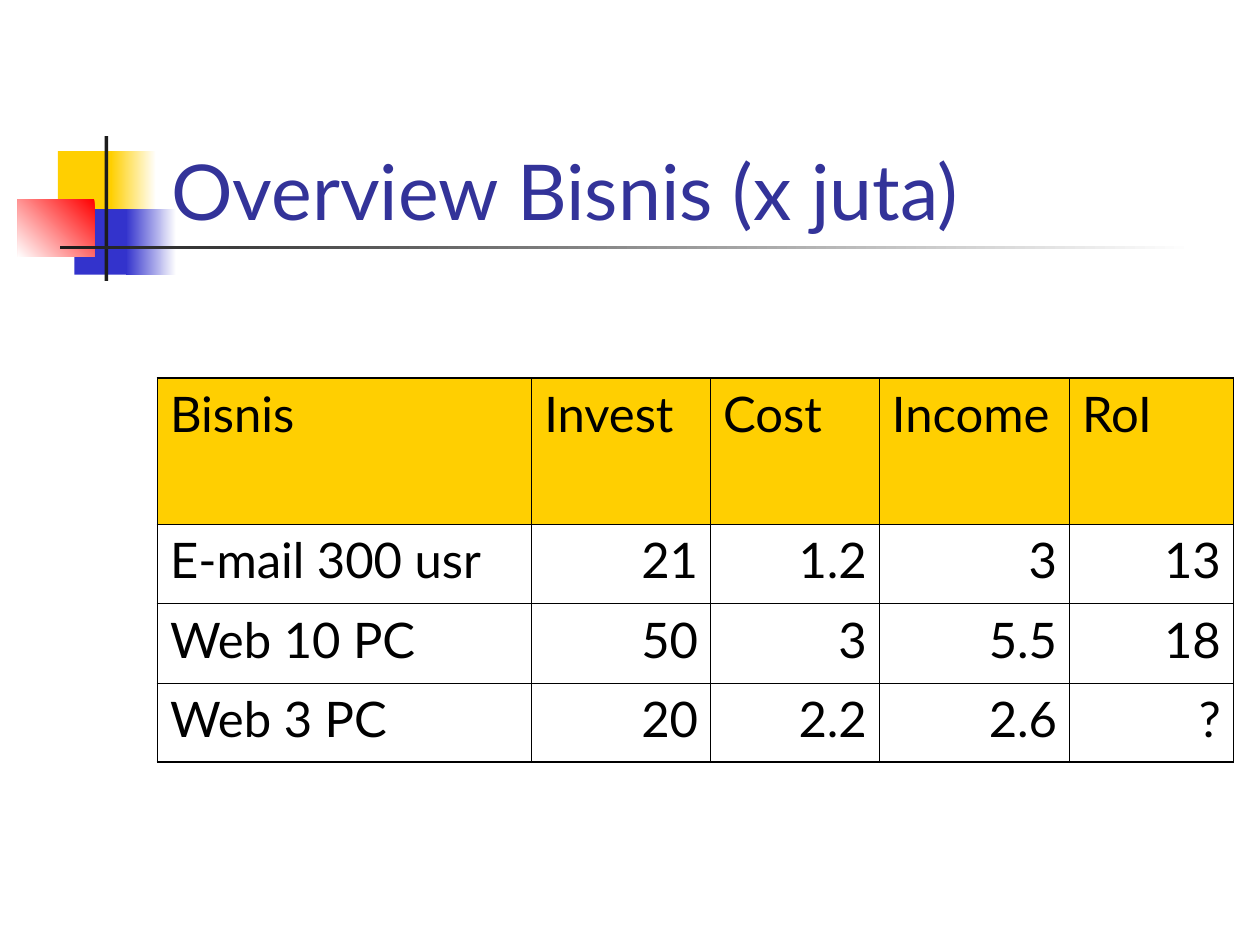
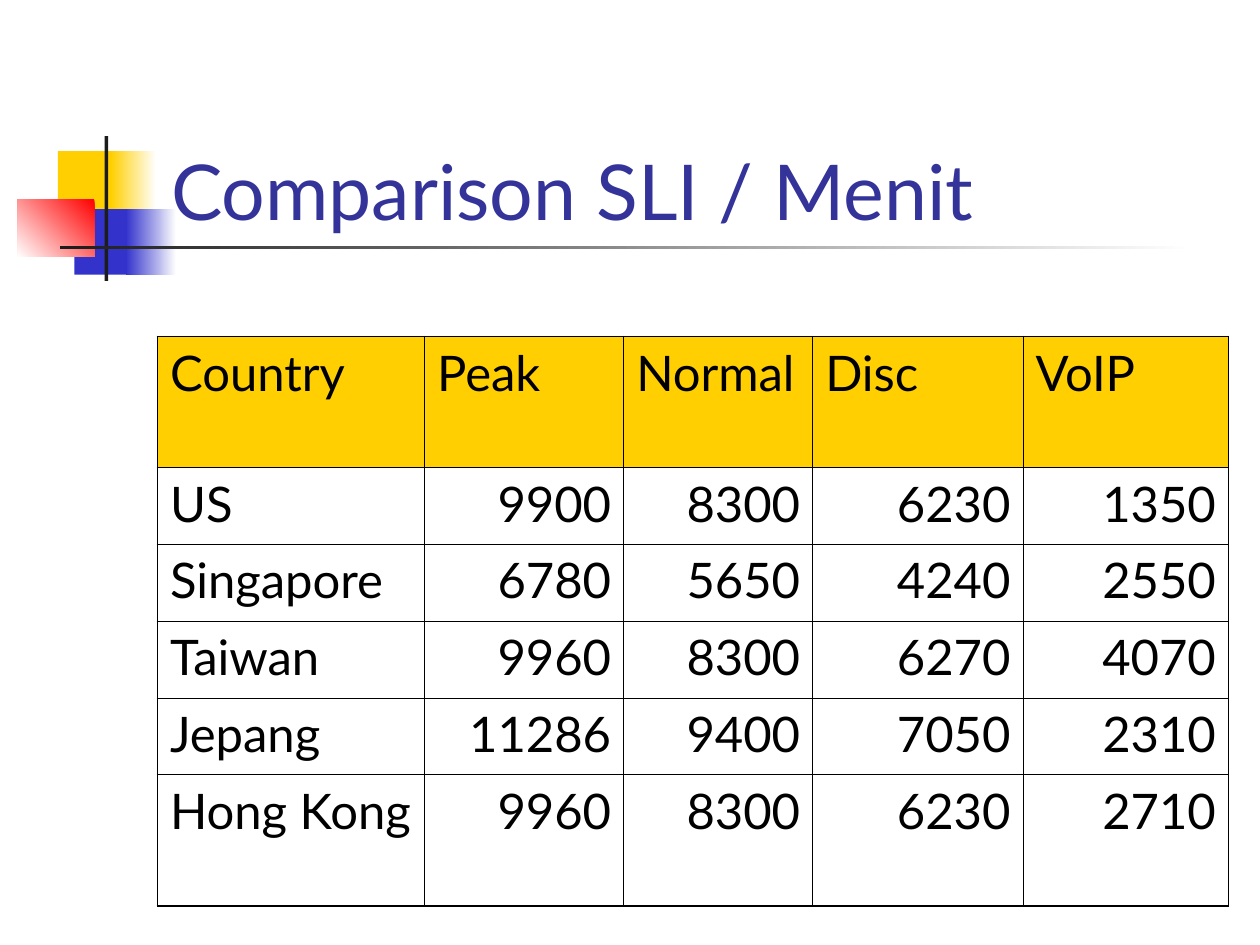
from pptx import Presentation
from pptx.dml.color import RGBColor
from pptx.enum.shapes import MSO_SHAPE
from pptx.enum.text import MSO_ANCHOR, PP_ALIGN
from pptx.oxml.ns import qn
from pptx.util import Inches, Pt
from lxml import etree

RECT = MSO_SHAPE.RECTANGLE
BOTTOM = MSO_ANCHOR.BOTTOM
LEFT, RIGHT = PP_ALIGN.LEFT, PP_ALIGN.RIGHT

WHITE, BLACK, INK = "FFFFFF", "000000", "1C1C1C"
YELLOW, BLUE, RED = "FFCF01", "3333CC", "FF0000"

SLIDE_SIZE = 10, 7.5
TABLE_LEFT = 1.25
TITLE_BOX = 1.26, 0.67, 8.52, 1.25
TITLE_FONT = {"name": "Lato", "size": Pt(44), "color": "333399"}
CELL_FONT = {"name": "Lato", "size": Pt(28), "bold": False, "color": BLACK}
INNER_LINE, OUTER_LINE = 0.45, 1.08

# left, top, width, height, colours (one is solid, two fade), gradient angle
ORNAMENT = [
    (0.46, 1.20, 0.48, 0.52, [YELLOW], None),
    (0.88, 1.20, 0.36, 0.52, [WHITE, YELLOW], 180),
    (0.59, 1.66, 0.46, 0.52, [BLUE], None),
    (1.00, 1.66, 0.40, 0.52, [WHITE, BLUE], 180),
    (0.14, 1.58, 0.61, 0.46, [RED, WHITE], 225),
    (0.83, 1.08, 0.03, 1.15, [INK], None),
    (0.48, 1.95, 9.00, 0.03, [WHITE, INK], 180),
]

SLIDES = [
    {
        "title": "Overview Bisnis (x juta)",
        "top": 3,
        "cols": [2.97, 1.42, 1.34, 1.51, 1.3],
        "rows": [1.16] + [0.63] * 3,
        "cells": [
            ["Bisnis", "Invest", "Cost", "Income", "RoI"],
            ["E-mail 300 usr", "21", "1.2", "3", "13"],
            ["Web 10 PC", "50", "3", "5.5", "18"],
            ["Web 3 PC", "20", "2.2", "2.6", "?"],
        ],
    },
    {
        "title": "Comparison SLI / Menit",
        "top": 2.67,
        "cols": [2.12, 1.58, 1.5, 1.67, 1.63],
        "rows": [1.04] + [0.61] * 4 + [1.04],
        "cells": [
            ["Country", "Peak", "Normal", "Disc", "VoIP"],
            ["US", "9900", "8300", "6230", "1350"],
            ["Singapore", "6780", "5650", "4240", "2550"],
            ["Taiwan", "9960", "8300", "6270", "4070"],
            ["Jepang", "11286", "9400", "7050", "2310"],
            ["Hong Kong", "9960", "8300", "6230", "2710"],
        ],
    },
]


def rgb(value):
    return RGBColor.from_string(value)


def inches(*lengths):
    return [Inches(n) for n in lengths]


def write(p, text, font):
    r = p.add_run()
    r.text = text
    for name, value in font.items():
        if name == "color":
            r.font.color.rgb = rgb(value)
        else:
            setattr(r.font, name, value)


def add_ornament(s):
    for *box, colors, angle in ORNAMENT:
        sp = s.shapes.add_shape(RECT, *inches(*box))
        sp.shadow.inherit = False
        sp.line.fill.background()
        if angle is None:
            sp.fill.solid()
            sp.fill.fore_color.rgb = rgb(colors[0])
            continue
        sp.fill.gradient()
        sp.fill.gradient_angle = angle
        for stop, color in zip(sp.fill.gradient_stops, colors):
            stop.color.rgb = rgb(color)


def add_title(s, text):
    tf = s.shapes.add_textbox(*inches(*TITLE_BOX)).text_frame
    tf.word_wrap = True
    tf.vertical_anchor = BOTTOM
    write(tf.paragraphs[0], text, TITLE_FONT)


def set_borders(cell, outer):
    """Draw four sides; outer maps L, R, T, B to True on the table's edge."""
    tcPr = cell._tc.get_or_add_tcPr()
    for side, is_outer in outer.items():
        width = Pt(OUTER_LINE if is_outer else INNER_LINE)
        ln = etree.SubElement(tcPr, qn(f"a:ln{side}"), w=str(width))
        fill = etree.SubElement(ln, qn("a:solidFill"))
        etree.SubElement(fill, qn("a:srgbClr"), val=BLACK)


def add_grid(s, top, cols, rows, cells):
    box = inches(TABLE_LEFT, top, sum(cols), sum(rows))
    table = s.shapes.add_table(len(rows), len(cols), *box).table
    table.first_row = table.horz_banding = False
    for column, width in zip(table.columns, cols):
        column.width = Inches(width)
    for row, height in zip(table.rows, rows):
        row.height = Inches(height)
    for i, texts in enumerate(cells):
        for j, text in enumerate(texts):
            cell = table.cell(i, j)
            set_borders(cell, {"L": j == 0, "R": j == len(cols) - 1,
                               "T": i == 0, "B": i == len(rows) - 1})
            if i == 0:
                cell.fill.solid()
                cell.fill.fore_color.rgb = rgb(YELLOW)
            else:
                cell.fill.background()
            p = cell.text_frame.paragraphs[0]
            p.alignment = RIGHT if i and j else LEFT
            write(p, text, CELL_FONT)


def main():
    prs = Presentation()
    prs.slide_width, prs.slide_height = inches(*SLIDE_SIZE)
    for content in SLIDES:
        s = prs.slides.add_slide(prs.slide_layouts[6])
        add_ornament(s)
        add_title(s, content["title"])
        add_grid(s, content["top"], content["cols"], content["rows"],
                 content["cells"])
    prs.save("out.pptx")


if __name__ == "__main__":
    main()
